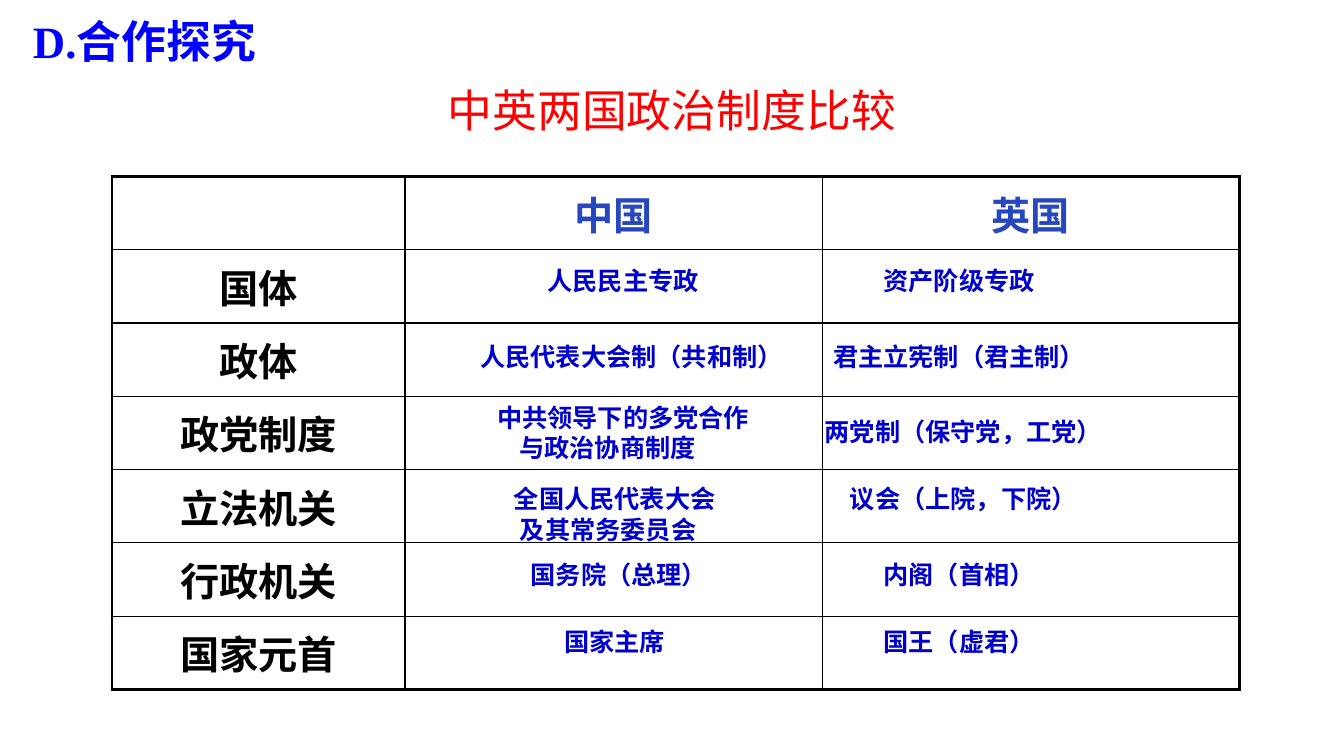
import dataclasses

import pptx
import pptx.dml.color
import pptx.enum.text
import pptx.oxml
import pptx.oxml.ns
import pptx.util


@dataclasses.dataclass(frozen=True)
class Theme:
    """Colours, fonts and type sizes of the slide."""
    red: str = "FF0000"
    bright_blue: str = "0000FF"
    answer_blue: str = "0000CC"
    header_blue: str = "2747BE"
    black: str = "000000"
    body_font: str = "Arial"
    title_font: str = "Noto Sans CJK SC"
    section_font: str = "Times New Roman"
    title_size: int = 32
    table_size: int = 28
    answer_size: int = 18
    thick: float = 2.25
    thin: float = 1


@dataclasses.dataclass(frozen=True)
class Box:
    """A region in cells of a grid of 160 columns and 90 rows."""
    left: float
    top: float
    width: float
    height: float

    def emu(self):
        """Return left, top, width and height as lengths."""
        sides = (self.left, self.top, self.width, self.height)
        return [pptx.util.Inches(side / 12) for side in sides]


THEME = Theme()
COLUMN_SHARES = (0.26, 0.37, 0.37)
HEADERS = ("中国", "英国")
TOPICS = ("国体", "政体", "政党制度", "立法机关", "行政机关", "国家元首")
ANSWERS = (
    (8, 0, "人民民主专政", 0),
    (48, 0, "资产阶级专政", 0),
    (0, 9, "人民代表大会制（共和制）", 0),
    (42, 9, "君主立宪制（君主制）", 0),
    (2, 16.25, "中共领导下的多党合作\n与政治协商制度", 0.22),
    (41, 18, "两党制（保守党，工党）", 0),
    (4, 26, "全国人民代表大会\n及其常务委员会", 0.06),
    (44, 26, "议会（上院，下院）", 0),
    (6, 35, "国务院（总理）", 0),
    (48, 35, "内阁（首相）", 0),
    (10, 43, "国家主席", 0),
    (48, 43, "国王（虚君）", 0),
)


def style(para, size, font, colour, bold=True):
    """Format every run of a paragraph."""
    for span in para.runs:
        span.font.size = pptx.util.Pt(size)
        span.font.name = font
        span.font.bold = bold
        span.font.color.rgb = pptx.dml.color.RGBColor.from_string(colour)


def add_title(page, box):
    """Move and format the title placeholder."""
    title = page.shapes.title
    title.left, title.top, title.width, title.height = box.emu()
    frame = title.text_frame
    frame.text = "中英两国政治制度比较"
    frame.vertical_anchor = pptx.enum.text.MSO_ANCHOR.MIDDLE
    para = frame.paragraphs[0]
    para.alignment = pptx.enum.text.PP_ALIGN.CENTER
    para.line_spacing = 0.9
    style(para, THEME.title_size, THEME.title_font, THEME.red, False)


def add_text(page, box, text, wrap):
    """Add a text box that fits its text and return its frame."""
    frame = page.shapes.add_textbox(*box.emu()).text_frame
    frame.text = text
    frame.word_wrap = wrap
    frame.auto_size = pptx.enum.text.MSO_AUTO_SIZE.SHAPE_TO_FIT_TEXT
    return frame


def add_section(page, box):
    """Add the section label in the corner."""
    frame = add_text(page, box, "D.合作探究", True)
    style(frame.paragraphs[0], THEME.title_size, THEME.section_font, THEME.bright_blue)


def add_borders(cell, thick_sides):
    """Draw the four borders of a cell, heavier on the given sides."""
    properties = cell._tc.get_or_add_tcPr()
    for side in "LRTB":
        points = THEME.thick if side in thick_sides else THEME.thin
        properties.append(pptx.oxml.parse_xml(
            f'<a:ln{side} {pptx.oxml.ns.nsdecls("a")} w="{pptx.util.Pt(points)}">'
            f'<a:solidFill><a:srgbClr val="{THEME.black}"/></a:solidFill></a:ln{side}>'))


def add_comparison(page, box):
    """Add the table with its headers, topics and empty answer cells."""
    rows = [("", *HEADERS)] + [(topic, "", "") for topic in TOPICS]
    left, top, width, height = box.emu()
    table = page.shapes.add_table(
        len(rows), len(COLUMN_SHARES), left, top, width, height).table
    table.first_row = table.horz_banding = False
    for column, share in zip(table.columns, COLUMN_SHARES):
        column.width = int(width * share)
    for row_index, row in enumerate(rows):
        table.rows[row_index].height = height // len(rows)
        for column_index, text in enumerate(row):
            cell = table.cell(row_index, column_index)
            edges = {"L": column_index == 0, "R": column_index == len(row) - 1,
                     "T": row_index == 0, "B": row_index == len(rows) - 1}
            add_borders(cell, [side for side, outer in edges.items() if outer])
            cell.fill.background()
            cell.vertical_anchor = pptx.enum.text.MSO_ANCHOR.MIDDLE
            cell.text_frame.text = text
            para = cell.text_frame.paragraphs[0]
            para.alignment = pptx.enum.text.PP_ALIGN.CENTER
            para.space_before = pptx.util.Pt(0.2 * THEME.table_size)
            colour = THEME.black if row_index else THEME.header_blue
            style(para, THEME.table_size, THEME.body_font, colour)


def add_answers(page, box):
    """Place the answers over the table, each sized by its longest line."""
    for column, row, text, indent in ANSWERS:
        lines = text.split("\n")
        place = Box(box.left + column, box.top + row,
                    3 * max(map(len, lines)) + 2.5, 3.7 * len(lines) + 1.1)
        frame = add_text(page, place, text, False)
        for para in frame.paragraphs:
            style(para, THEME.answer_size, THEME.body_font, THEME.answer_blue)
        if indent:
            margin = str(pptx.util.Inches(indent))
            frame.paragraphs[-1]._p.get_or_add_pPr().set("marL", margin)


def build_comparison_slide(deck):
    """Add the slide that compares the two political systems."""
    page = deck.slides.add_slide(deck.slide_layouts[5])
    add_title(page, Box(11, 4.8, 138, 17.4))
    add_comparison(page, Box(13.33, 21, 134.2, 61.1))
    add_answers(page, Box(56, 31, 78, 48))
    add_section(page, Box(2.75, 1.1, 30.7, 7.7))


def main():
    """Build and save the deck."""
    deck = pptx.Presentation()
    deck.slide_width = pptx.util.Inches(160 / 12)
    deck.slide_height = pptx.util.Inches(90 / 12)
    build_comparison_slide(deck)
    deck.save("out.pptx")


if __name__ == "__main__":
    main()
